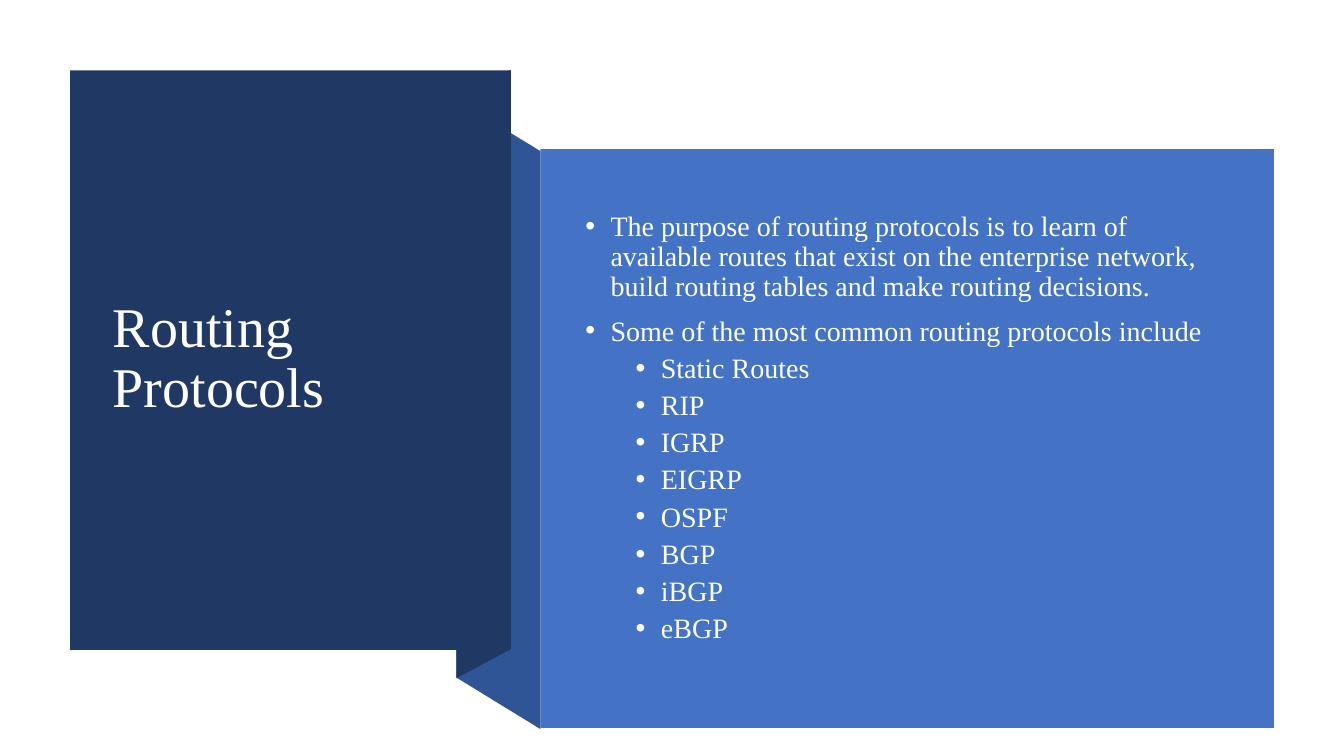
from lxml import etree
from pptx import Presentation
from pptx import util as u
from pptx.dml.color import RGBColor
from pptx.enum import shapes, text
from pptx.oxml.ns import qn

Pt = u.Pt
NAVY = RGBColor(0x20, 0x38, 0x64)
MID_BLUE = RGBColor(0x2F, 0x55, 0x97)
BLUE = RGBColor(0x44, 0x72, 0xC4)
WHITE = RGBColor(0xFF, 0xFF, 0xFF)
OFF_WHITE = RGBColor(0xFE, 0xFF, 0xFF)

POINTS = [
    "The purpose of routing protocols is to learn of available routes that exist "
    "on the enterprise network, build routing tables and make routing decisions.",
    "Some of the most common routing protocols include",
]
PROTOCOLS = ["Static Routes", "RIP", "IGRP", "EIGRP", "OSPF", "BGP", "iBGP", "eBGP"]


class SlideBuilder:
    font_name = "Times New Roman"

    def __init__(self, page):
        self.page = page

    def paint(self, shape, color):
        shape.shadow.inherit = False
        shape.fill.solid()
        shape.fill.fore_color.rgb = color
        shape.line.fill.background()

    def panel(self, left, top, width, height, color):
        rectangle = self.page.shapes.add_shape(
            shapes.MSO_SHAPE.RECTANGLE, Pt(left), Pt(top), Pt(width), Pt(height))
        self.paint(rectangle, color)

    def fold(self, corners, color):
        start, *others = [(Pt(x), Pt(y)) for x, y in corners]
        builder = self.page.shapes.build_freeform(*start)
        builder.add_line_segments(others, close=True)
        self.paint(builder.convert_to_shape(), color)

    def style(self, para, size, color):
        para.line_spacing = 0.9
        for span in para.runs:
            span.font.name = self.font_name
            span.font.size = Pt(size)
            span.font.color.rgb = color

    def title(self, wording, left, top, width, height):
        box = self.page.shapes.title
        box.left, box.top, box.width, box.height = Pt(left), Pt(top), Pt(width), Pt(height)
        frame = box.text_frame
        frame.text = wording
        frame.word_wrap = True
        frame.vertical_anchor = text.MSO_ANCHOR.MIDDLE
        para = frame.paragraphs[0]
        para.alignment = text.PP_ALIGN.LEFT
        self.style(para, 40, WHITE)
        # Bring the title in front of its panel
        box.element.getparent().append(box.element)

    def bullets(self, items, left, top, width, height):
        box = self.page.shapes.add_textbox(Pt(left), Pt(top), Pt(width), Pt(height))
        frame = box.text_frame
        frame.word_wrap = True
        frame.vertical_anchor = text.MSO_ANCHOR.MIDDLE
        for index, (level, wording) in enumerate(items):
            para = frame.add_paragraph() if index else frame.paragraphs[0]
            para.text = wording
            para.level = level
            properties = para._p.get_or_add_pPr()
            properties.set("marL", str(Pt(18 + 36 * level)))
            properties.set("indent", str(Pt(-18)))
            etree.SubElement(properties, qn("a:buFont")).set("typeface", "Arial")
            etree.SubElement(properties, qn("a:buChar")).set("char", "•")
            if index:
                para.space_before = Pt(5 if level else 10)
            self.style(para, 20, OFF_WHITE)


def main():
    deck = Presentation()
    deck.slide_width, deck.slide_height = Pt(960), Pt(540)
    builder = SlideBuilder(deck.slides.add_slide(deck.slide_layouts[5]))

    # Folded ribbon and title panel
    builder.fold([(386, 520.8), (326, 484), (326, 71.3), (386, 108)], MID_BLUE)
    builder.fold([(364.6, 463.9), (326, 484.5), (326, 70.5), (364.6, 49.9)], NAVY)
    builder.panel(50, 50.2, 315, 414, NAVY)
    builder.title("Routing Protocols", 73.4, 77, 267, 359.3)

    # Content panel with bullets
    builder.panel(386, 106.6, 524, 413.4, BLUE)
    items = [(0, point) for point in POINTS] + [(1, name) for name in PROTOCOLS]
    builder.bullets(items, 411, 135.4, 468.7, 341.3)

    deck.save("out.pptx")


if __name__ == "__main__":
    main()
